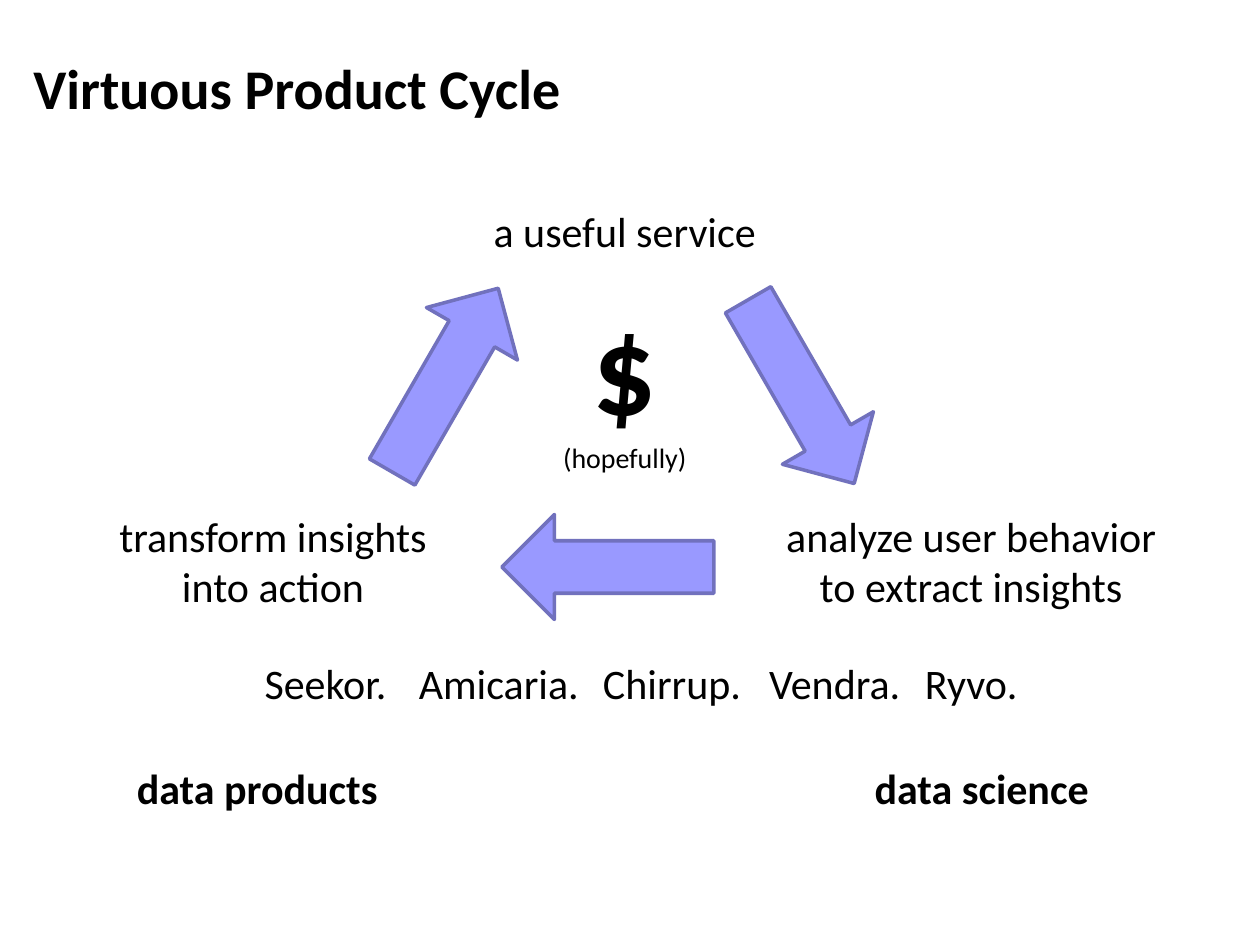
import pptx
import pptx.dml.color
import pptx.enum.shapes
import pptx.enum.text
import pptx.util

COLUMNS, ROWS = 120, 90
WIDTH, HEIGHT = pptx.util.Inches(10), pptx.util.Inches(7.5)
ALIGN = pptx.enum.text.PP_ALIGN


def across(columns):
    """Return the length of a number of grid columns."""
    return round(WIDTH * columns / COLUMNS)


def down(rows):
    """Return the length of a number of grid rows."""
    return round(HEIGHT * rows / ROWS)


def colour(hex_value):
    """Turn a hex string into a colour."""
    return pptx.dml.color.RGBColor.from_string(hex_value)


def style(font, size, bold):
    """Give a font the face and colour of the slide's text."""
    font.name = "Calibri"
    font.size = pptx.util.Pt(size)
    font.bold = bold
    font.color.rgb = colour("000000")


def add_frame(slide, left, top, width, height):
    """Add a wrapping text frame placed on the grid."""
    frame = slide.shapes.add_textbox(across(left), down(top), across(width), down(height)).text_frame
    frame.word_wrap = True
    frame.auto_size = pptx.enum.text.MSO_AUTO_SIZE.SHAPE_TO_FIT_TEXT
    return frame


def add_label(slide, wording, left, top, width, height=6, bold=False):
    """Add a centred label."""
    label = add_frame(slide, left, top, width, height).paragraphs[0]
    label.text = wording
    label.alignment = ALIGN.CENTER
    style(label.font, 24, bold)


def add_title(slide, wording):
    """Add the slide's heading."""
    frame = add_frame(slide, 2, 1.5, 114, 13.5)
    frame.auto_size = pptx.enum.text.MSO_AUTO_SIZE.NONE
    frame.vertical_anchor = pptx.enum.text.MSO_ANCHOR.MIDDLE
    heading = frame.paragraphs[0]
    heading.text = wording
    style(heading.font, 32, True)


def add_profit(slide):
    """Add the dollar sign with its remark at the heart of the cycle."""
    profit = add_frame(slide, 43, 27, 33, 19).paragraphs[0]
    profit.alignment = ALIGN.CENTER
    sign = profit.add_run()
    sign.text = "$"
    style(sign.font, 72, True)
    profit.add_line_break()
    remark = profit.add_run()
    remark.text = "(hopefully)"
    style(remark.font, 16, False)


def add_cycle_arrow(slide, centre_x, centre_y, rotation):
    """Add a block arrow turned about its centre."""
    length, breadth = 20.2, 10
    arrow = slide.shapes.add_shape(
        pptx.enum.shapes.MSO_SHAPE.RIGHT_ARROW,
        across(centre_x - length / 2), down(centre_y - breadth / 2),
        across(length), down(breadth))
    arrow.rotation = rotation
    arrow.shadow.inherit = False
    arrow.fill.solid()
    arrow.fill.fore_color.rgb = colour("9999FF")
    arrow.line.color.rgb = colour("7171BD")
    arrow.line.width = pptx.util.Pt(2)


def main():
    """Build the slide and save it."""
    deck = pptx.Presentation()
    deck.slide_width, deck.slide_height = WIDTH, HEIGHT
    slide = deck.slides.add_slide(deck.slide_layouts[6])

    add_title(slide, "Virtuous Product Cycle")
    add_label(slide, "a useful service", 43, 19, 33)
    add_label(slide, "analyze user behavior to extract insights", 72, 48, 41, 11)
    add_label(slide, "transform insights into action", 10, 48, 32, 11)

    arrow_centres = [(76.3, 37.3), (57.9, 54), (42.4, 36.2)]
    for turn, (centre_x, centre_y) in enumerate(arrow_centres):
        add_cycle_arrow(slide, centre_x, centre_y, 60 + 120 * turn)
    add_profit(slide)

    companies = [("Seekor.", 22, 18), ("Amicaria.", 37, 21), ("Chirrup.", 56, 16),
                 ("Vendra.", 69, 21), ("Ryvo.", 82, 21)]
    for company, left, width in companies:
        add_label(slide, company, left, 62, width)

    for field, left in [("data science", 73), ("data products", 4)]:
        add_label(slide, field, left, 72, 41, bold=True)

    deck.save("out.pptx")


if __name__ == "__main__":
    main()
